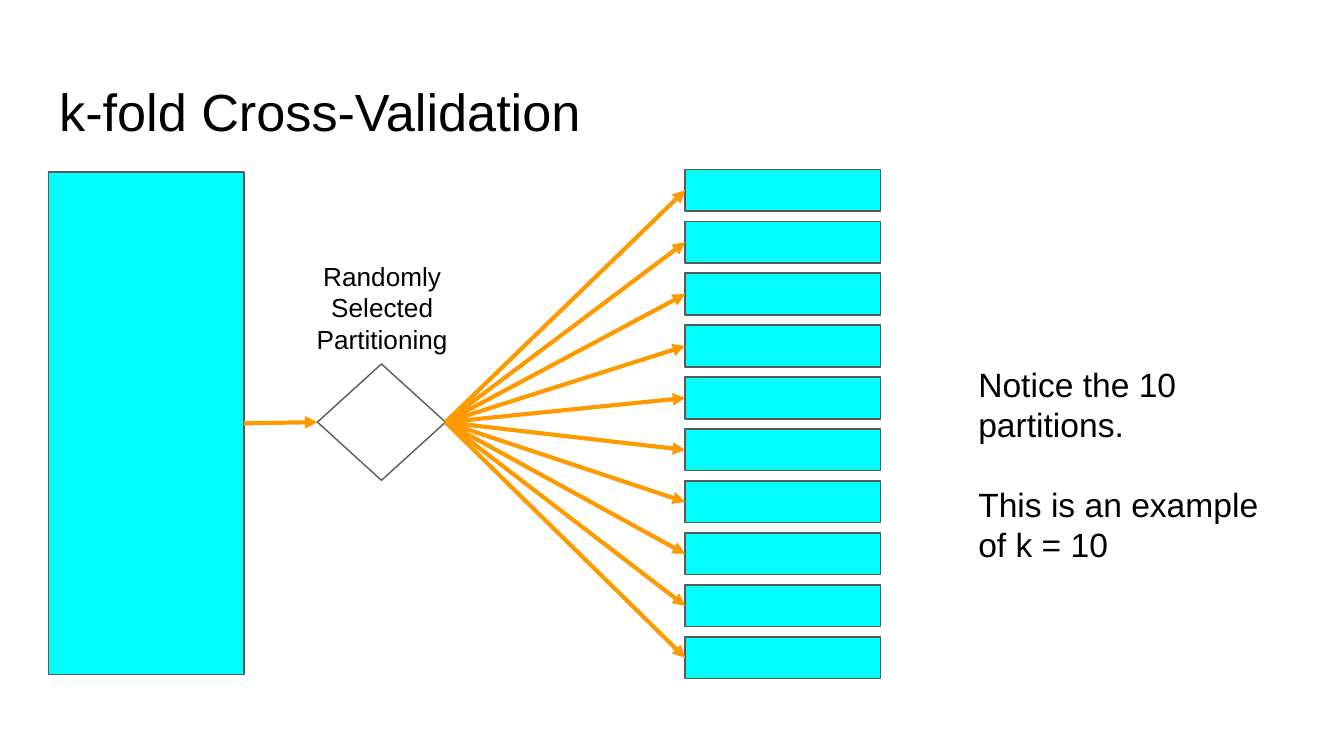
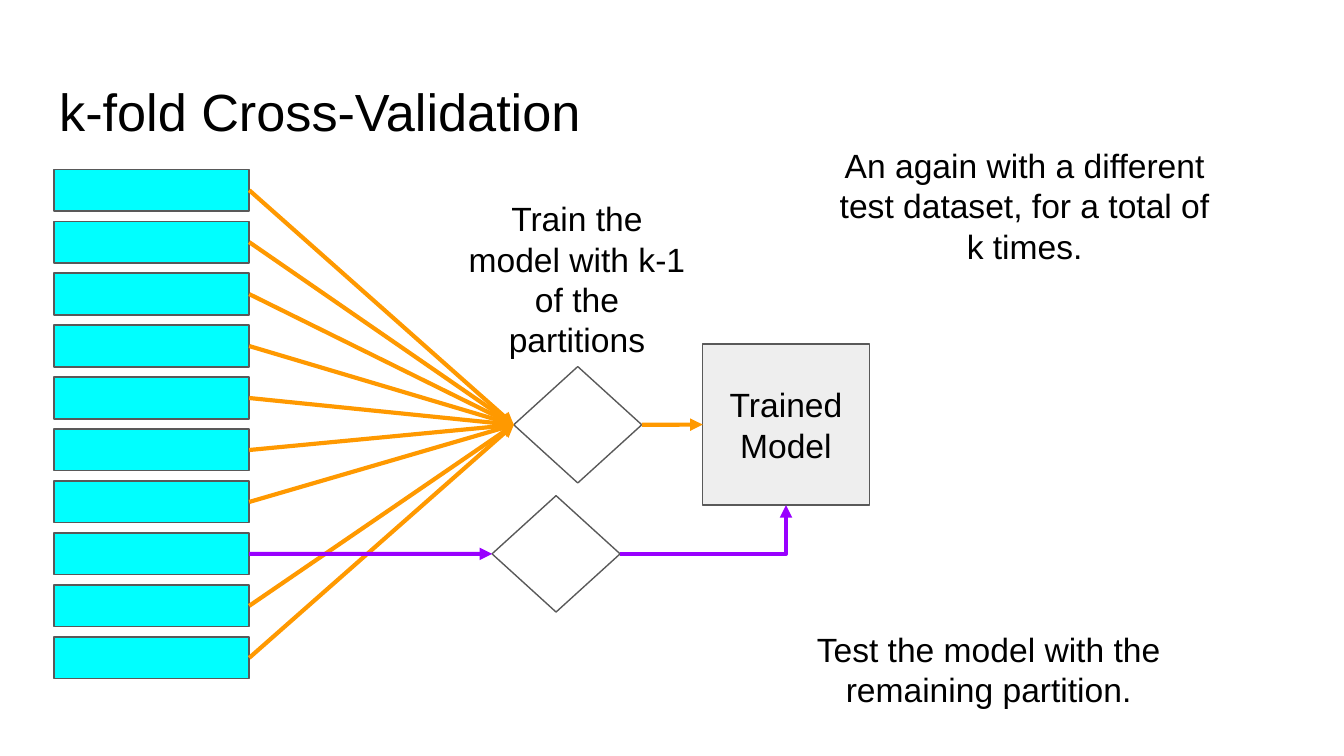
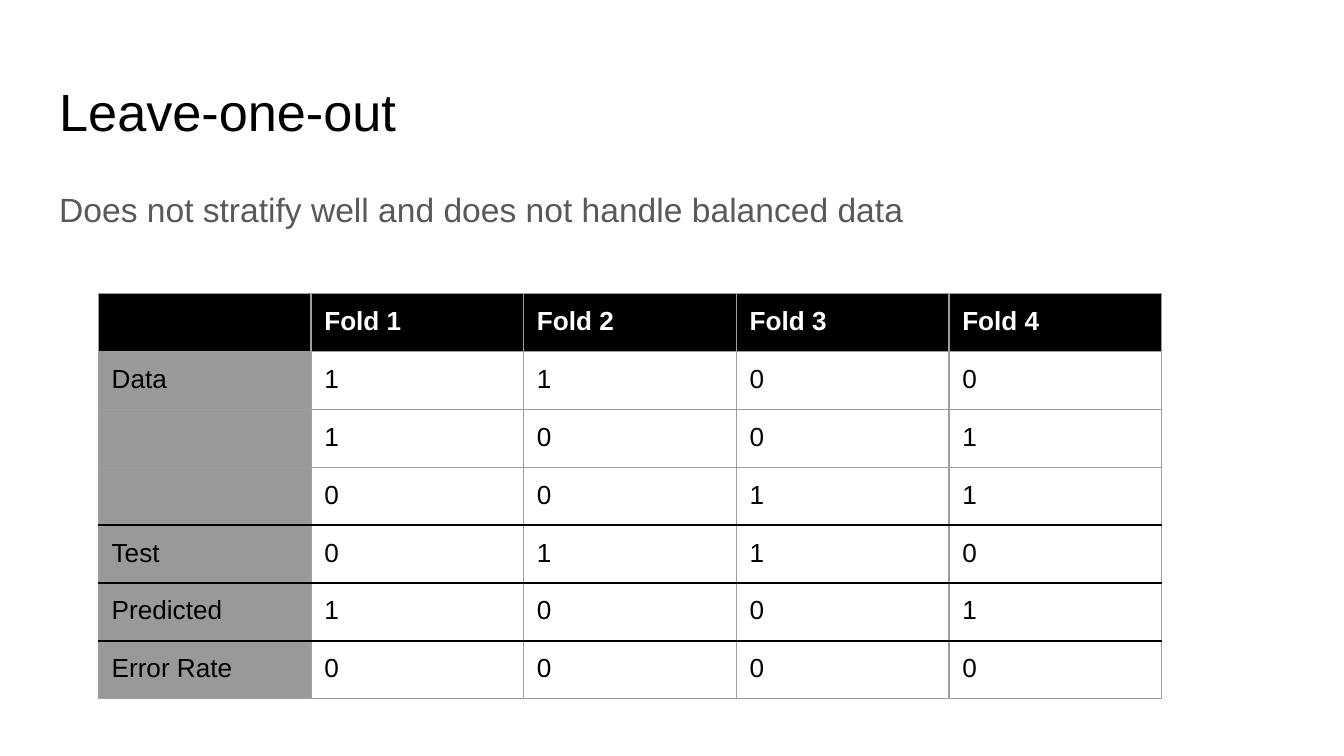
from dataclasses import dataclass

from lxml.etree import SubElement
from pptx import Presentation
from pptx.dml.color import RGBColor
from pptx.enum.shapes import MSO_CONNECTOR, MSO_SHAPE
from pptx.enum.text import MSO_ANCHOR, PP_ALIGN
from pptx.oxml.ns import qn
from pptx.presentation import Presentation as Deck
from pptx.shapes.autoshape import Shape
from pptx.shapes.connector import Connector
from pptx.slide import Slide
from pptx.table import _Cell
from pptx.text.text import TextFrame
from pptx.util import Cm, Pt


@dataclass(frozen=True)
class Theme:
    font: str = "Arial"
    ink: str = "000000"
    paper: str = "FFFFFF"
    muted: str = "595959"
    data: str = "00FFFF"
    model: str = "EEEEEE"
    train: str = "FF9900"
    test: str = "9900FF"
    label: str = "999999"
    grid: str = "9E9E9E"
    title_size: int = 28
    body_size: int = 18
    small_size: int = 14
    outline: float = 0.75
    rule: float = 1.5
    arrow: float = 2.25


@dataclass(frozen=True)
class Box:
    x: float
    y: float
    w: float
    h: float

    def lengths(self) -> tuple[Cm, Cm, Cm, Cm]:
        return Cm(self.x), Cm(self.y), Cm(self.w), Cm(self.h)


@dataclass(frozen=True)
class Label:
    box: Box
    lines: tuple[str, ...]
    size: int
    color: str
    align: PP_ALIGN = PP_ALIGN.CENTER
    gap: float = 0
    spacing: float = 1.0


THEME = Theme()
INSET = Cm(0.25)
TITLE_BOX = Box(0.87, 1.24, 23.67, 1.6)
K = 10
FIRST_TOP, LAST_TOP = 3.2, 12.04
PARTITION_W, PARTITION_H = 3.69, 0.79
DIAMOND_W, DIAMOND_H = 2.42, 2.2
TEST_FOLD = 7
TOP, LEFT, BOTTOM, RIGHT = range(4)
COLUMN_W, ROW_H = 4.02, 1.06
FOLD_ROWS = (
    ("", "Fold 1", "Fold 2", "Fold 3", "Fold 4"),
    ("Data", "1", "1", "0", "0"),
    ("", "1", "0", "0", "1"),
    ("", "0", "0", "1", "1"),
    ("Test", "0", "1", "1", "0"),
    ("Predicted", "1", "0", "0", "1"),
    ("Error Rate", "0", "0", "0", "0"),
)
RULED_EDGES = (4, 5, 6)


def rgb(color: str) -> RGBColor:
    return RGBColor.from_string(color)


def write(tf: TextFrame, label: Label) -> None:
    tf.word_wrap = True
    tf.margin_left = tf.margin_right = tf.margin_top = tf.margin_bottom = INSET
    tf.text = "\n".join(label.lines)
    for i, p in enumerate(tf.paragraphs):
        p.alignment = label.align
        p.line_spacing = label.spacing
        p.space_before = Pt(label.gap if i else 0)
        for r in p.runs:
            r.font.name = THEME.font
            r.font.size = Pt(label.size)
            r.font.color.rgb = rgb(label.color)


def add_label(s: Slide, label: Label) -> None:
    write(s.shapes.add_textbox(*label.box.lengths()).text_frame, label)


def add_block(s: Slide, kind: MSO_SHAPE, box: Box, fill: str) -> Shape:
    sp = s.shapes.add_shape(kind, *box.lengths())
    sp.shadow.inherit = False
    sp.fill.solid()
    sp.fill.fore_color.rgb = rgb(fill)
    sp.line.color.rgb = rgb(THEME.muted)
    sp.line.width = Pt(THEME.outline)
    return sp


def add_diamond(s: Slide, x: float, y: float) -> Shape:
    return add_block(s, MSO_SHAPE.DIAMOND, Box(x, y, DIAMOND_W, DIAMOND_H), THEME.paper)


def add_partitions(s: Slide, x: float) -> list[Shape]:
    pitch = (LAST_TOP - FIRST_TOP) / (K - 1)
    return [
        add_block(
            s,
            MSO_SHAPE.RECTANGLE,
            Box(x, FIRST_TOP + i * pitch, PARTITION_W, PARTITION_H),
            THEME.data,
        )
        for i in range(K)
    ]


def add_arrow(
    s: Slide,
    start: Shape,
    end: Shape,
    color: str,
    end_side: int = LEFT,
    kind: MSO_CONNECTOR = MSO_CONNECTOR.STRAIGHT,
) -> Connector:
    c = s.shapes.add_connector(kind, 0, 0, 0, 0)
    c.begin_connect(start, RIGHT)
    c.end_connect(end, end_side)
    c.line.color.rgb = rgb(color)
    c.line.width = Pt(THEME.arrow)
    SubElement(c.line._get_or_add_ln(), qn("a:tailEnd"), type="triangle")
    SubElement(c._element.spPr, qn("a:effectLst"))
    return c


def add_corner_arrow(s: Slide, start: Shape, end: Shape, color: str) -> None:
    c = add_arrow(s, start, end, color, BOTTOM, MSO_CONNECTOR.ELBOW)
    c._element.spPr.find(qn("a:prstGeom")).set("prst", "bentConnector2")


def add_border(cell: _Cell, side: str, color: str, width: float) -> None:
    tc_pr = cell._tc.get_or_add_tcPr()
    ln = SubElement(tc_pr, qn(f"a:ln{side}"), w=str(Pt(width)))
    fill = SubElement(ln, qn("a:solidFill"))
    SubElement(fill, qn("a:srgbClr"), val=color)


def format_cell(cell: _Cell, row: int, col: int) -> None:
    edges = {"L": None, "R": None, "T": row, "B": row + 1}
    for side, edge in edges.items():
        if edge in RULED_EDGES:
            add_border(cell, side, THEME.ink, THEME.rule)
        else:
            add_border(cell, side, THEME.grid, THEME.outline)
    if row == 0 or col == 0:
        cell.fill.solid()
        cell.fill.fore_color.rgb = rgb(THEME.label if row else THEME.ink)
    else:
        cell.fill.background()
    cell.margin_left = cell.margin_right = INSET
    cell.margin_top = cell.margin_bottom = INSET
    p = cell.text_frame.paragraphs[0]
    if not p.runs:
        p._p.get_or_add_endParaRPr().set("sz", str(THEME.small_size * 100))
    for r in p.runs:
        r.font.name = THEME.font
        r.font.size = Pt(THEME.small_size)
        r.font.bold = row == 0
        r.font.color.rgb = rgb(THEME.ink if row else THEME.paper)


def add_fold_table(s: Slide, x: float, y: float) -> None:
    rows, cols = len(FOLD_ROWS), len(FOLD_ROWS[0])
    box = Box(x, y, cols * COLUMN_W, rows * ROW_H)
    table = s.shapes.add_table(rows, cols, *box.lengths()).table
    table.first_row = False
    table.horz_banding = False
    for column in table.columns:
        column.width = Cm(COLUMN_W)
    for row, values in enumerate(FOLD_ROWS):
        table.rows[row].height = Cm(ROW_H)
        for col, value in enumerate(values):
            cell = table.cell(row, col)
            cell.text = value
            format_cell(cell, row, col)


def add_slide(prs: Deck, title: str) -> Slide:
    s = prs.slides.add_slide(prs.slide_layouts[6])
    add_label(s, Label(TITLE_BOX, (title,), THEME.title_size, THEME.ink, PP_ALIGN.LEFT))
    return s


def build_partitioning(prs: Deck) -> None:
    s = add_slide(prs, "k-fold Cross-Validation")
    dataset = add_block(s, MSO_SHAPE.RECTANGLE, Box(0.92, 3.25, PARTITION_W, 9.5), THEME.data)
    partitions = add_partitions(s, 12.95)
    splitter = add_diamond(s, 6, 6.88)
    add_label(s, Label(
        Box(5.46, 4.67, 3.53, 2.21),
        ("Randomly", "Selected", "Partitioning"),
        THEME.small_size,
        THEME.ink,
    ))
    add_arrow(s, dataset, splitter, THEME.train)
    for partition in partitions:
        add_arrow(s, splitter, partition, THEME.train)
    add_label(s, Label(
        Box(18.24, 6.63, 5.87, 5.41),
        ("Notice the 10 partitions.", "This is an example of k = 10"),
        THEME.body_size,
        THEME.ink,
        PP_ALIGN.LEFT,
        gap=21,
    ))


def build_training(prs: Deck) -> None:
    s = add_slide(prs, "k-fold Cross-Validation")
    partitions = add_partitions(s, 1.02)
    trainer = add_diamond(s, 9.71, 6.93)
    model = add_block(s, MSO_SHAPE.RECTANGLE, Box(13.28, 6.5, 3.15, 3.05), THEME.model)
    model_box = Box(13.28, 6.5, 3.15, 3.05)
    write(model.text_frame, Label(model_box, ("Trained Model",), THEME.body_size, THEME.ink))
    model.text_frame.vertical_anchor = MSO_ANCHOR.MIDDLE
    for i, partition in enumerate(partitions):
        if i != TEST_FOLD:
            add_arrow(s, partition, trainer, THEME.train)
    add_arrow(s, trainer, model, THEME.train)
    tester = add_diamond(s, 9.3, 9.37)
    add_arrow(s, partitions[TEST_FOLD], tester, THEME.test)
    add_corner_arrow(s, tester, model, THEME.test)
    captions = (
        (Box(8.53, 3.5, 4.75, 3.43), "Train the model with k-1 of the partitions"),
        (Box(14.86, 11.63, 7.65, 2.21), "Test the model with the remaining partition."),
        (
            Box(15.54, 2.49, 7.65, 3.05),
            "An again with a different test dataset, for a total of k times.",
        ),
    )
    for box, text in captions:
        add_label(s, Label(box, (text,), THEME.body_size, THEME.ink))


def build_leave_one_out(prs: Deck) -> None:
    s = add_slide(prs, "Leave-one-out")
    add_label(s, Label(
        Box(0.87, 3.2, 23.67, 9.5),
        ("Does not stratify well and does not handle balanced data",),
        THEME.body_size,
        THEME.muted,
        PP_ALIGN.LEFT,
        spacing=1.15,
    ))
    add_fold_table(s, 1.86, 5.55)


def main() -> None:
    prs = Presentation()
    prs.slide_width = Cm(25.4)
    prs.slide_height = Cm(14.29)
    build_partitioning(prs)
    build_training(prs)
    build_leave_one_out(prs)
    prs.save("out.pptx")


if __name__ == "__main__":
    main()
